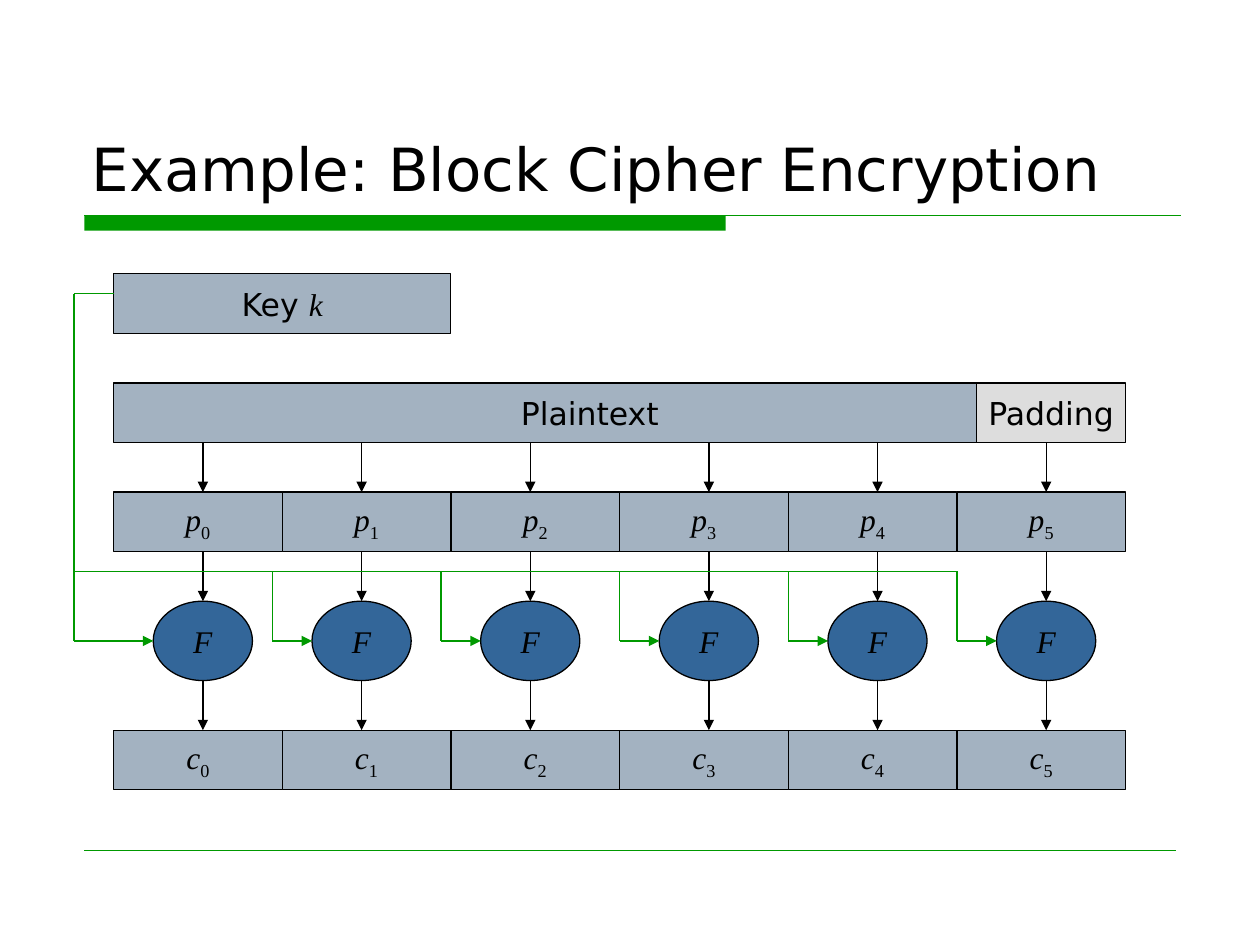
from dataclasses import dataclass
from typing import NamedTuple

from lxml import etree
from pptx import Presentation
from pptx.dml.color import RGBColor
from pptx.enum.shapes import MSO_CONNECTOR, MSO_SHAPE
from pptx.enum.text import MSO_ANCHOR, PP_ALIGN
from pptx.oxml.ns import qn
from pptx.slide import Slide
from pptx.util import Cm, Pt

STRAIGHT = MSO_CONNECTOR.STRAIGHT
RECTANGLE, OVAL = MSO_SHAPE.RECTANGLE, MSO_SHAPE.OVAL
MIDDLE, BOTTOM = MSO_ANCHOR.MIDDLE, MSO_ANCHOR.BOTTOM
CENTER = PP_ALIGN.CENTER


@dataclass(frozen=True)
class Theme:
    ink: RGBColor = RGBColor(0x00, 0x00, 0x00)
    green: RGBColor = RGBColor(0x00, 0x99, 0x00)
    block: RGBColor = RGBColor(0xA3, 0xB2, 0xC1)
    padding: RGBColor = RGBColor(0xDD, 0xDD, 0xDD)
    function: RGBColor = RGBColor(0x33, 0x66, 0x99)
    sans: str = "DejaVu Sans"
    serif: str = "Times New Roman"
    title_size: float = 34
    label_size: float = 18
    line_width: float = 0.75
    footer_width: float = 0.25


THEME = Theme()

# All lengths below are in centimetres.
LEFT = 2.29
BLOCK_WIDTH, BLOCK_HEIGHT = 3.4, 1.2
FUNCTION_WIDTH, FUNCTION_HEIGHT = 2.0, 1.6
GAP = 1.0
KEY_TOP = 5.52
PLAINTEXT_TOP = KEY_TOP + BLOCK_HEIGHT + GAP
P_TOP = PLAINTEXT_TOP + BLOCK_HEIGHT + GAP
FUNCTION_TOP = P_TOP + BLOCK_HEIGHT + GAP
C_TOP = FUNCTION_TOP + FUNCTION_HEIGHT + GAP
FUNCTION_MIDDLE = FUNCTION_TOP + FUNCTION_HEIGHT / 2
COLUMN_CENTERS = [LEFT + offset for offset in (1.8, 5.0, 8.4, 12.0, 15.4, 18.8)]
TRUNK_X = LEFT - 0.8
BUS_Y = P_TOP + BLOCK_HEIGHT + 0.4
BRANCH_OFFSET = 1.8


class Span(NamedTuple):
    text: str
    font: str = THEME.serif
    italic: bool = True
    subscript: bool = False


class Block(NamedTuple):
    left: float
    top: float
    width: float
    spans: list[Span]
    fill: RGBColor = THEME.block
    height: float = BLOCK_HEIGHT
    preset: MSO_SHAPE = RECTANGLE


def draw_block(page: Slide, block: Block) -> None:
    box = page.shapes.add_shape(block.preset, Cm(block.left), Cm(block.top),
                                Cm(block.width), Cm(block.height))
    box.shadow.inherit = False
    box.fill.solid()
    box.fill.fore_color.rgb = block.fill
    box.line.color.rgb = THEME.ink
    box.line.width = Pt(THEME.line_width)
    frame = box.text_frame
    frame.word_wrap = False
    frame.vertical_anchor = MIDDLE
    para = frame.paragraphs[0]
    para.alignment = CENTER
    para.font.size = Pt(THEME.label_size)
    para.font.color.rgb = THEME.ink
    for span in block.spans:
        run = para.add_run()
        run.text = span.text
        run.font.name = span.font
        run.font.italic = span.italic
        if span.subscript:
            run._r.get_or_add_rPr().set("baseline", "-25000")


def draw_line(page: Slide, start: tuple[float, float], end: tuple[float, float],
              color: RGBColor, arrow: bool = False,
              width: float = THEME.line_width) -> None:
    line = page.shapes.add_connector(STRAIGHT, Cm(start[0]), Cm(start[1]),
                                     Cm(end[0]), Cm(end[1]))
    line.line.color.rgb = color
    line.line.width = Pt(width)
    if arrow:
        etree.SubElement(line.line._get_or_add_ln(), qn("a:tailEnd"), type="triangle")
    etree.SubElement(line._element.spPr, qn("a:effectLst"))


def draw_title(page: Slide, text: str) -> None:
    box = page.shapes.add_textbox(Cm(1.6), Cm(0.84), Cm(22.23), Cm(3.38))
    frame = box.text_frame
    frame.word_wrap = True
    frame.vertical_anchor = BOTTOM
    para = frame.paragraphs[0]
    para.text = text
    para.font.name = THEME.sans
    para.font.size = Pt(THEME.title_size)
    para.font.color.rgb = THEME.ink


def draw_rules(page: Slide) -> None:
    """Draw the bar and line under the title, and the footer line."""
    bar = page.shapes.add_shape(RECTANGLE, Cm(1.7), Cm(4.34), Cm(12.93), Cm(0.31))
    bar.shadow.inherit = False
    bar.fill.solid()
    bar.fill.fore_color.rgb = THEME.green
    bar.line.fill.background()
    draw_line(page, (1.7, 4.34), (23.8, 4.34), THEME.green)
    draw_line(page, (1.7, 17.15), (23.7, 17.15), THEME.green, width=THEME.footer_width)


def draw_columns(page: Slide) -> None:
    """Draw each block's way from plaintext through F to ciphertext."""
    for index, center in enumerate(COLUMN_CENTERS):
        for letter, top in (("p", P_TOP), ("c", C_TOP)):
            spans = [Span(letter), Span(str(index), italic=False, subscript=True)]
            draw_block(page, Block(LEFT + index * BLOCK_WIDTH, top, BLOCK_WIDTH, spans))
        draw_block(page, Block(center - FUNCTION_WIDTH / 2, FUNCTION_TOP, FUNCTION_WIDTH,
                               [Span("F")], THEME.function, FUNCTION_HEIGHT, OVAL))
        for bottom in (P_TOP, FUNCTION_TOP, C_TOP):
            draw_line(page, (center, bottom - GAP), (center, bottom), THEME.ink, arrow=True)


def draw_key_wires(page: Slide) -> None:
    """Lead the key along a trunk and a bus into every F."""
    key_exit = KEY_TOP + 0.4
    branches = [TRUNK_X] + [center - BRANCH_OFFSET for center in COLUMN_CENTERS[1:]]
    draw_line(page, (LEFT, key_exit), (TRUNK_X, key_exit), THEME.green)
    draw_line(page, (TRUNK_X, key_exit), (TRUNK_X, BUS_Y), THEME.green)
    draw_line(page, (TRUNK_X, BUS_Y), (branches[-1], BUS_Y), THEME.green)
    for branch, center in zip(branches, COLUMN_CENTERS):
        draw_line(page, (branch, BUS_Y), (branch, FUNCTION_MIDDLE), THEME.green)
        draw_line(page, (branch, FUNCTION_MIDDLE),
                  (center - FUNCTION_WIDTH / 2, FUNCTION_MIDDLE), THEME.green, arrow=True)


def main() -> None:
    deck = Presentation()
    deck.slide_width, deck.slide_height = Cm(25.4), Cm(19.05)
    page = deck.slides.add_slide(deck.slide_layouts[6])
    draw_rules(page)
    draw_title(page, "Example: Block Cipher Encryption")
    for block in (
        Block(LEFT, KEY_TOP, 2 * BLOCK_WIDTH, [Span("Key ", THEME.sans, False), Span("k")]),
        Block(LEFT, PLAINTEXT_TOP, 19.2, [Span("Plaintext", THEME.sans, False)]),
        Block(LEFT + 17.4, PLAINTEXT_TOP, 3.0, [Span("Padding", THEME.sans, False)],
              THEME.padding),
    ):
        draw_block(page, block)
    draw_columns(page)
    draw_key_wires(page)
    deck.save("out.pptx")


if __name__ == "__main__":
    main()
